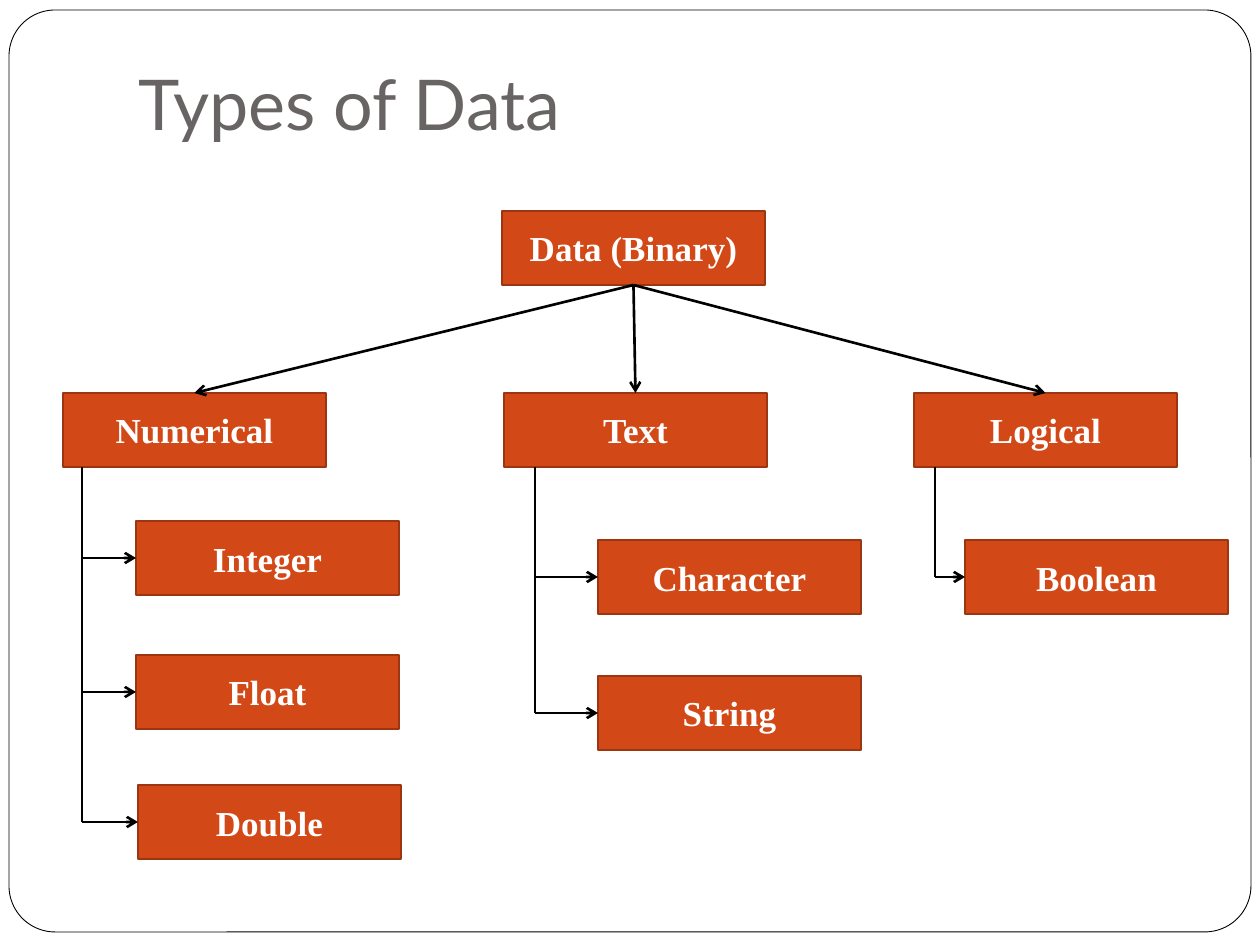
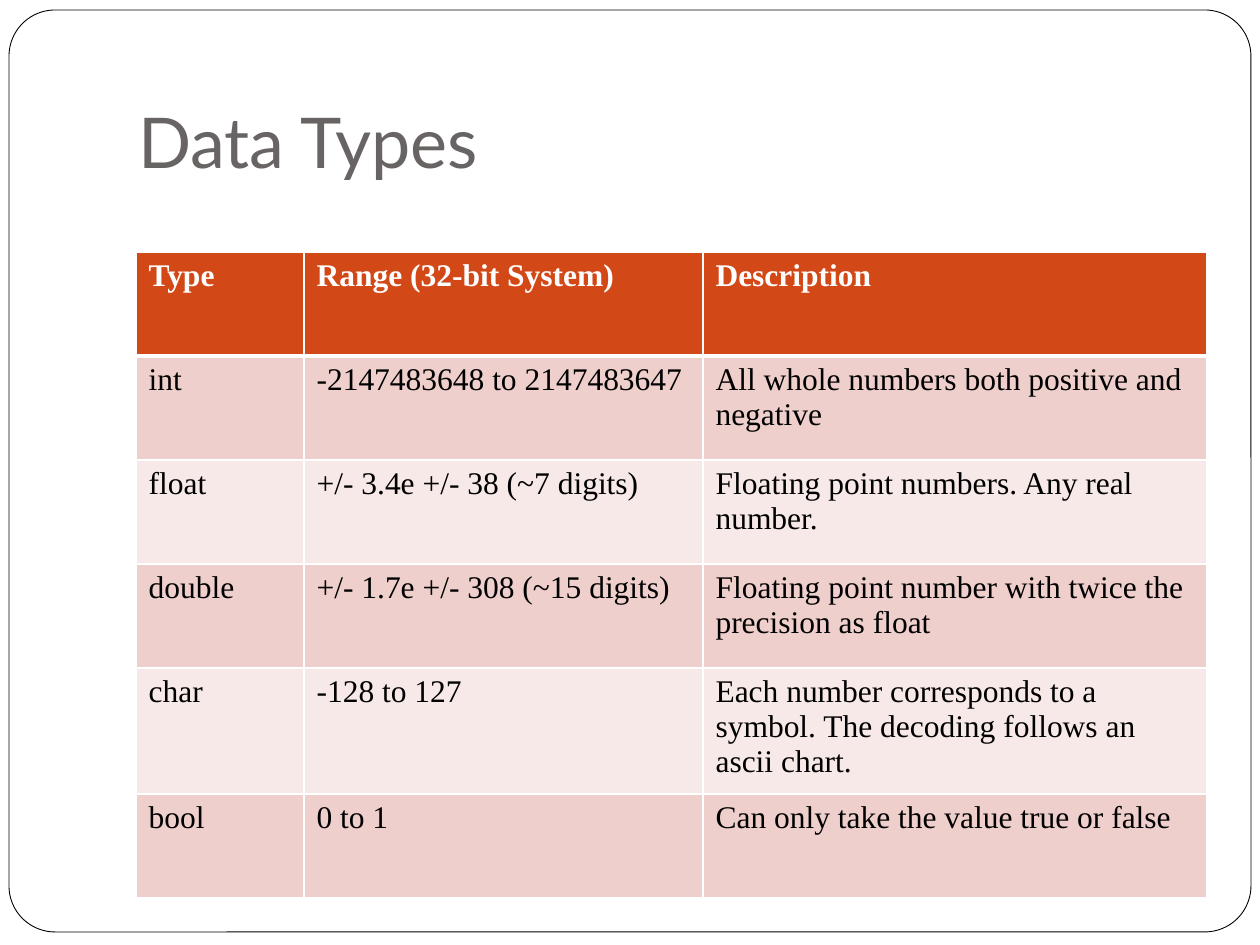
"""Build two slides on data types: a tree of types and a table of ranges."""
from lxml import etree
from pptx import Presentation
from pptx.dml.color import RGBColor
from pptx.enum.shapes import MSO_CONNECTOR as CONN, MSO_SHAPE as SHAPE
from pptx.enum.text import MSO_ANCHOR as ANCHOR, PP_ALIGN as ALIGN
from pptx.oxml import parse_xml
from pptx.oxml.ns import nsdecls, qn
from pptx.util import Emu, Pt

PX = 914400 / 126
WHITE, BLACK, GREY = "FFFFFF", "000000", "696464"
ORANGE, RUST = "D34817", "9C3511"
BANDS = ["EFCFCC", "F7E9E8"]
SERIF = "Times New Roman"
TITLE = dict(name="Lato", size=Pt(40))
BOX = dict(name=SERIF, size=Pt(20), bold=True)
HEAD = dict(name=SERIF, size=Pt(18), bold=True)
BODY = dict(name=SERIF, size=Pt(18), bold=False)
rgb = RGBColor.from_string


def write(tf, text, fmt, color, align=ALIGN.LEFT):
    p = tf.paragraphs[0]
    p.alignment = align
    r = p.add_run()
    r.text = text
    for key, value in fmt.items():
        setattr(r.font, key, value)
    r.font.color.rgb = rgb(color)


def connect(s, x1, y1, x2, y2, arrow=True):
    c = s.shapes.add_connector(CONN.STRAIGHT, *[Emu(round(v * PX)) for v in (x1, y1, x2, y2)])
    c.line.color.rgb = rgb(BLACK)
    c.line.width = Pt(1.5)
    if arrow:
        etree.SubElement(c.line._get_or_add_ln(), qn("a:tailEnd"), type="arrow")
    etree.SubElement(c._element.spPr, qn("a:effectLst"))
    return c


prs = Presentation()
prs.slide_width, prs.slide_height = Emu(round(1260 * PX)), Emu(round(945 * PX))

slides = []
for title, top in [("Types of Data", 0), ("Data Types", 38)]:
    s = prs.slides.add_slide(prs.slide_layouts[6])
    frame = s.shapes.add_shape(SHAPE.ROUNDED_RECTANGLE, *[Emu(round(v * PX)) for v in (9, 10, 1242, 922)])
    frame.adjustments[0] = 0.05
    frame.shadow.inherit = False
    frame.fill.solid()
    frame.fill.fore_color.rgb = rgb(WHITE)
    frame.line.color.rgb = rgb(BLACK)
    frame.line.width = Pt(0.5)
    tf = s.shapes.add_textbox(*[Emu(round(v * PX)) for v in (126, top, 1071, 157)]).text_frame
    tf.word_wrap = True
    tf.vertical_anchor = ANCHOR.BOTTOM
    tf.margin_bottom = Pt(7.2)
    write(tf, title, TITLE, GREY)
    slides.append(s)
tree, ranges = slides

W, H = 263, 74
nodes = {}
for name, x, y in [
    ("Data (Binary)", 502, 211),
    ("Numerical", 63, 393), ("Text", 504, 393), ("Logical", 914, 393),
    ("Integer", 136, 521), ("Float", 136, 655), ("Double", 138, 785),
    ("Character", 598, 540), ("String", 598, 676),
    ("Boolean", 965, 540),
]:
    sp = tree.shapes.add_shape(SHAPE.RECTANGLE, *[Emu(round(v * PX)) for v in (x, y, W, H)])
    sp.shadow.inherit = False
    sp.fill.solid()
    sp.fill.fore_color.rgb = rgb(ORANGE)
    sp.line.color.rgb = rgb(RUST)
    sp.line.width = Pt(1)
    sp.text_frame.vertical_anchor = ANCHOR.MIDDLE
    write(sp.text_frame, name, BOX, WHITE, ALIGN.CENTER)
    nodes[name] = sp, x, y

root, root_x, root_y = nodes["Data (Binary)"]
for group, trunk, members in [
    ("Numerical", 82, ["Integer", "Float", "Double"]),
    ("Text", 535, ["Character", "String"]),
    ("Logical", 935, ["Boolean"]),
]:
    parent, x, y = nodes[group]
    c = connect(tree, root_x + W / 2, root_y + H, x + W / 2, y)
    c.begin_connect(root, 2)
    c.end_connect(parent, 0)
    connect(tree, trunk, y + H, trunk, nodes[members[-1]][2] + H / 2, arrow=False)
    for member in members:
        child, x, y = nodes[member]
        connect(tree, trunk, y + H / 2, x, y + H / 2).end_connect(child, 1)

rows = [
    ("Type", "Range (32-bit System)", "Description"),
    ("int", "-2147483648\u00a0to 2147483647", "All whole numbers both positive and negative"),
    ("float", "+/- 3.4e +/- 38 (~7 digits)", "Floating point numbers. Any real number."),
    ("double", "+/- 1.7e +/- 308 (~15 digits)", "Floating point number with twice the precision as float"),
    ("char", "-128 to 127", "Each number corresponds to a symbol. The decoding follows an ascii chart."),
    ("bool", "0 to 1", "Can only take the value true or false"),
]
widths, row_height = [168, 399, 504], 104
box = (136, 252, sum(widths), row_height * len(rows))
table = ranges.shapes.add_table(len(rows), len(widths), *[Emu(round(v * PX)) for v in box]).table
for col, width in zip(table.columns, widths):
    col.width = Emu(round(width * PX))
for i, row in enumerate(rows):
    table.rows[i].height = Emu(round(row_height * PX))
    for j, text in enumerate(row):
        cell = table.cell(i, j)
        cell.fill.solid()
        cell.fill.fore_color.rgb = rgb(BANDS[(i - 1) % 2] if i else ORANGE)
        write(cell.text_frame, text, BODY if i else HEAD, BLACK if i else WHITE)
        for k, side in enumerate("LRTB"):
            width = Pt(3 if (i, side) in [(0, "B"), (1, "T")] else 1)
            cell._tc.get_or_add_tcPr().insert(k, parse_xml(
                f'<a:ln{side} {nsdecls("a")} w="{width}"><a:solidFill>'
                f'<a:srgbClr val="{WHITE}"/></a:solidFill></a:ln{side}>'))

prs.save("out.pptx")
